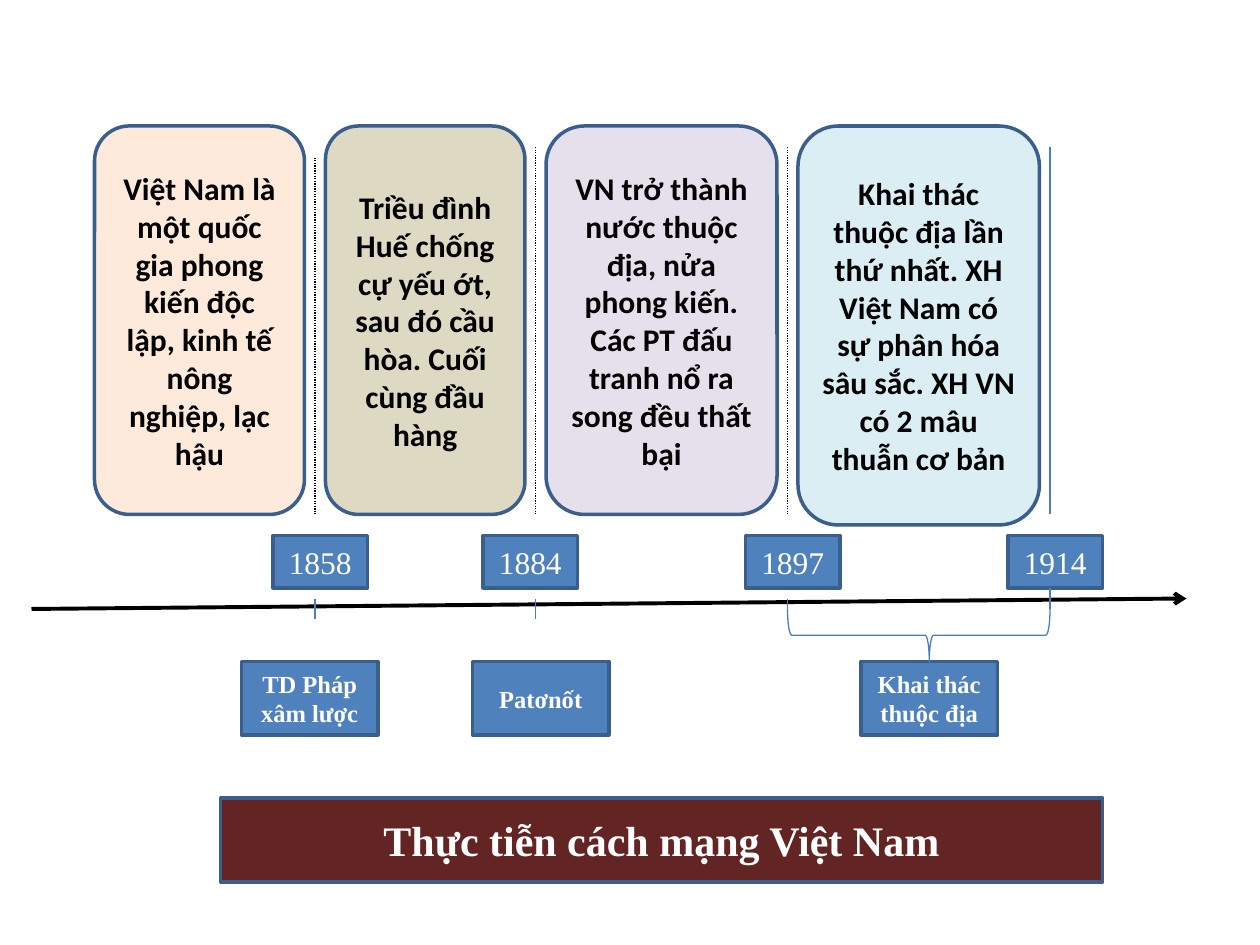
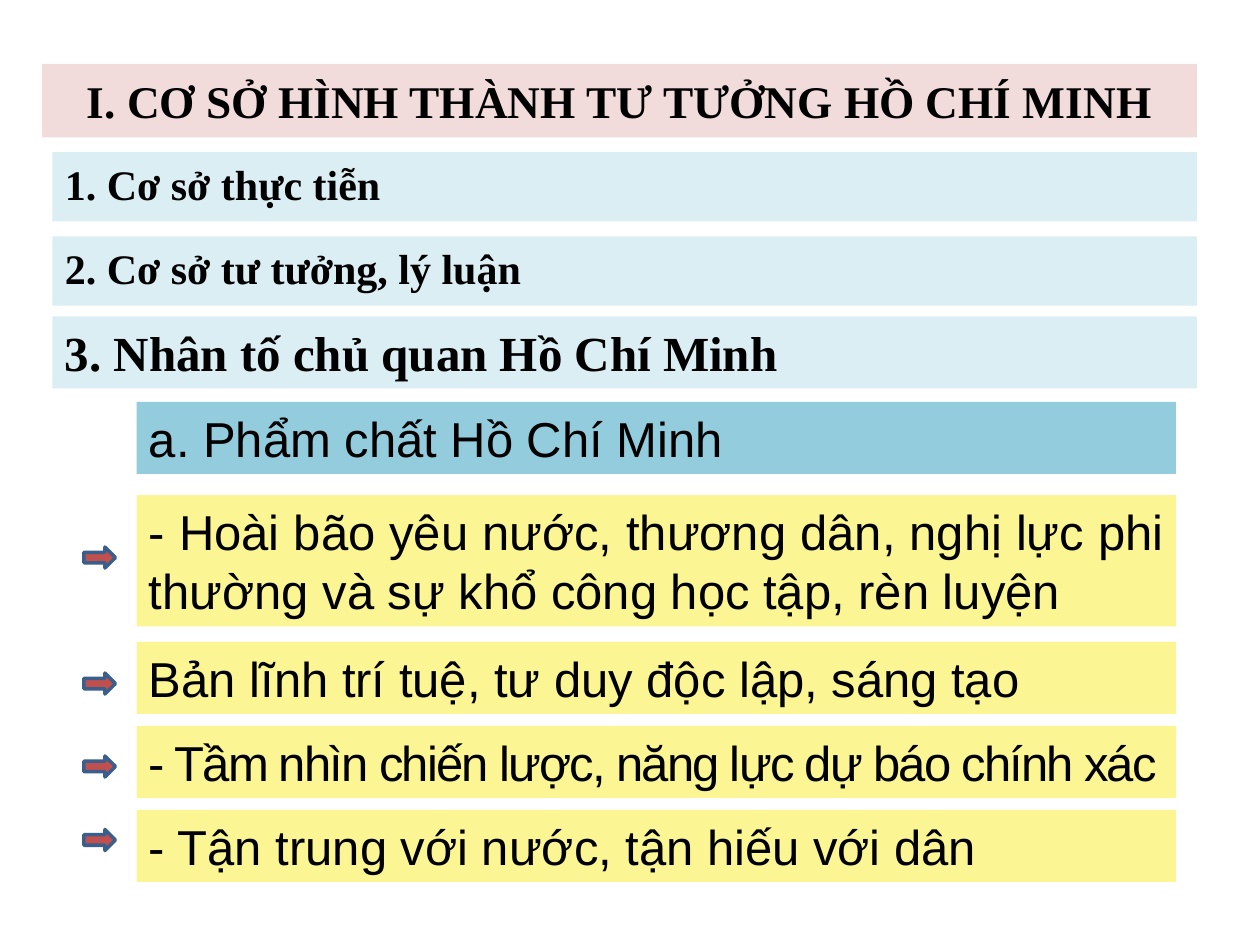
from lxml import etree
from pptx import Presentation
from pptx.dml.color import RGBColor
from pptx.enum.dml import MSO_LINE
from pptx.enum.shapes import MSO_CONNECTOR, MSO_SHAPE
from pptx.enum.text import MSO_ANCHOR, PP_ALIGN
from pptx.oxml.ns import qn
from pptx.util import Pt

RECTANGLE = MSO_SHAPE.RECTANGLE
ROUNDED = MSO_SHAPE.ROUNDED_RECTANGLE
ARROW = MSO_SHAPE.RIGHT_ARROW
BRACE = MSO_SHAPE.RIGHT_BRACE
STRAIGHT = MSO_CONNECTOR.STRAIGHT
DOTTED = MSO_LINE.ROUND_DOT
CENTER, LEFT, JUSTIFY = PP_ALIGN.CENTER, PP_ALIGN.LEFT, PP_ALIGN.JUSTIFY
MIDDLE, TOP = MSO_ANCHOR.MIDDLE, MSO_ANCHOR.TOP

SERIF, SANS, BODY = "Times New Roman", "Arial", "Calibri"
BLACK, WHITE = "000000", "FFFFFF"
BLUE, OUTLINE, THIN_BLUE = "4F81BD", "3A5F8C", "4B7EBC"
PALE_BLUE, TEAL, YELLOW = "DBEEF4", "93CDDD", "FBF693"
MAROON, PINK, RED = "632523", "F2DCDB", "C0504D"
color = RGBColor.from_string


def add_box(slide, bounds, fill, text="", size=18, font=SERIF, ink=BLACK, bold=False,
            align=CENTER, anchor=MIDDLE, outline=None, kind=RECTANGLE, spacing=0):
    shape = slide.shapes.add_shape(kind, *[Pt(value) for value in bounds])
    shape.shadow.inherit = False
    if fill:
        shape.fill.solid()
        shape.fill.fore_color.rgb = color(fill)
    else:
        shape.fill.background()
    if outline:
        shape.line.color.rgb = color(outline)
        shape.line.width = Pt(2)
    else:
        shape.line.fill.background()
    text_frame = shape.text_frame
    text_frame.word_wrap = True
    text_frame.vertical_anchor = anchor
    if text:
        text_frame.text = text
    for paragraph in text_frame.paragraphs:
        paragraph.alignment = align
        for run in paragraph.runs:
            run.font.name = font
            run.font.size = Pt(size)
            run.font.bold = bold
            run.font.color.rgb = color(ink)
            if spacing:
                run._r.get_or_add_rPr().set("spc", str(spacing * 100))
    return shape


def add_line(slide, start, end, ink, width=0.75, dash=None, arrow=False):
    connector = slide.shapes.add_connector(STRAIGHT, *[Pt(value) for value in start + end])
    connector.line.color.rgb = color(ink)
    connector.line.width = Pt(width)
    if dash:
        connector.line.dash_style = dash
    if arrow:
        etree.SubElement(connector.line._get_or_add_ln(), qn("a:tailEnd"), type="arrow")
    etree.SubElement(connector._element.spPr, qn("a:effectLst"))


presentation = Presentation()
presentation.slide_width = Pt(720)
presentation.slide_height = Pt(540)
blank = presentation.slide_layouts[6]

timeline = presentation.slides.add_slide(blank)
add_box(timeline, (126, 456, 504, 48), MAROON, "Thực tiễn cách mạng Việt Nam",
        size=24, ink=WHITE, bold=True, outline=OUTLINE)
add_line(timeline, (18, 348), (678, 342), BLACK, 2.25, arrow=True)

years = [
    ("1858", 156, 180, 342, 90, BLACK, DOTTED),
    ("1884", 276, 306, 342, 84, BLACK, DOTTED),
    ("1897", 426, 450, 342, 84, BLACK, DOTTED),
    ("1914", 576, 600, 336, 84, THIN_BLUE, None),
]
for year, left, x, tick_top, divider_top, divider_ink, dash in years:
    add_box(timeline, (left, 306, 54, 30), BLUE, year, ink=WHITE, outline=OUTLINE)
    add_line(timeline, (x, tick_top), (x, tick_top + 12), THIN_BLUE)
    add_line(timeline, (x, divider_top), (x, 294), divider_ink, dash=dash)

periods = [
    (54, 120, 222, "FDEADA",
     "Việt Nam là một quốc gia phong kiến độc lập, kinh tế nông nghiệp, lạc hậu"),
    (186, 114, 222, "DDD9C3",
     "Triều đình Huế chống cự yếu ớt, sau đó cầu hòa. Cuối cùng đầu hàng"),
    (312, 132, 222, "E6E0EC",
     "VN trở thành nước thuộc địa, nửa phong kiến. Các PT đấu tranh nổ ra song đều thất bại"),
    (456, 138, 228, PALE_BLUE,
     "Khai thác thuộc địa lần thứ nhất. XH Việt Nam có sự phân hóa sâu sắc. "
     "XH VN có 2 mâu thuẫn cơ bản"),
]
for left, width, height, fill, text in periods:
    add_box(timeline, (left, 72, width, height), fill, text, font=BODY, bold=True,
            outline=OUTLINE, kind=ROUNDED)

events = [(138, "TD Pháp\nxâm lược"), (270, "Patơnốt"), (492, "Khai thác thuộc địa")]
for left, text in events:
    add_box(timeline, (left, 378, 78, 42), BLUE, text, size=14, ink=WHITE, bold=True,
            outline=OUTLINE)

brace = add_box(timeline, (510, 288, 30, 150), None, outline=THIN_BLUE, kind=BRACE)
brace.line.width = Pt(0.75)
brace.rotation = 90
brace.adjustments[0] = 0.08
brace.adjustments[1] = 0.46

foundations = presentation.slides.add_slide(blank)
add_box(foundations, (24, 36.6, 660, 42), PINK, "I. CƠ SỞ HÌNH THÀNH TƯ TƯỞNG HỒ CHÍ MINH",
        size=25.9, bold=True)

headings = [
    (87, 39.6, 24, "1. Cơ sở thực tiễn"),
    (135, 39.6, 24, "2. Cơ sở tư tưởng, lý luận"),
    (180.8, 41.2, 28, "3. Nhân tố chủ quan Hồ Chí Minh"),
]
for top, height, size, text in headings:
    add_box(foundations, (30, top, 654, height), PALE_BLUE, text, size=size, bold=True,
            align=LEFT, anchor=TOP)

qualities = [
    (229.6, 41.2, TEAL, None, 0, "a. Phẩm chất Hồ Chí Minh"),
    (283, 75, YELLOW, 312.6, 0,
     "- Hoài bão yêu nước, thương dân, nghị lực phi thường và sự khổ công học tập, rèn luyện"),
    (366.8, 41.2, YELLOW, 384.6, 0, "Bản lĩnh trí tuệ, tư duy độc lập, sáng tạo"),
    (414.8, 41.2, YELLOW, 432, -1, "- Tầm nhìn chiến lược, năng lực dự báo chính xác"),
    (462.8, 41.2, YELLOW, 474, 0, "- Tận trung với nước, tận hiếu với dân"),
]
for top, height, fill, arrow_top, spacing, text in qualities:
    add_box(foundations, (78, top, 594, height), fill, text, size=28, font=SANS,
            align=JUSTIFY, anchor=TOP, spacing=spacing)
    if arrow_top:
        add_box(foundations, (48, arrow_top, 18, 12), RED, outline=OUTLINE, kind=ARROW)

presentation.save("out.pptx")
